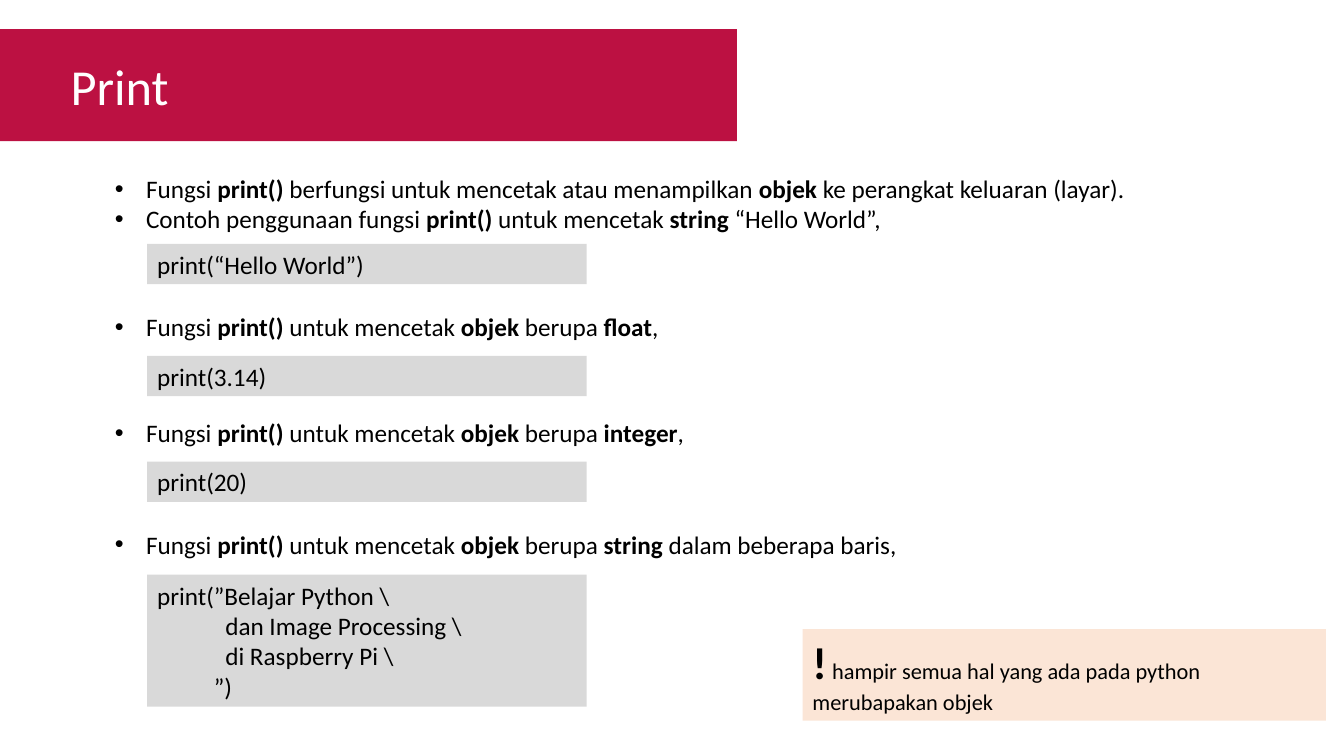
from pptx import Presentation
from pptx.dml.color import RGBColor
from pptx.enum.shapes import MSO_SHAPE
from pptx.enum.text import MSO_ANCHOR, MSO_AUTO_SIZE, PP_ALIGN
from pptx.oxml.ns import qn
from pptx.util import Inches, Pt
from lxml.etree import SubElement

COLORS = {
    "banner": "BC1142",
    "code": "D9D9D9",
    "note": "FBE5D6",
    "text": "000000",
    "title": "FFFFFF",
}
FONT = "Calibri"
BULLET_INDENT = Inches(0.31)
BULLET_LEFT, BULLET_WIDTH = 1.04, 10.79
CODE_LEFT, CODE_WIDTH = 1.46, 4.36

# Top of the bullets, their text, top and height of the code box, its lines
EXAMPLES = [
    (1.67, 1.01,
     ["Fungsi **print()** berfungsi untuk mencetak atau menampilkan **objek **"
      "ke perangkat keluaran (layar).",
      "Contoh penggunaan fungsi **print()** untuk mencetak **string **“Hello World”,"],
     2.42, 0.4, ["print(“Hello World”)"]),
    (3.04, 0.4,
     ["Fungsi **print()** untuk mencetak **objek **berupa **float**,"],
     3.53, 0.4, ["print(3.14)"]),
    (4.09, 0.4,
     ["Fungsi **print()** untuk mencetak **objek **berupa **integer**,"],
     4.58, 0.4, ["print(20)"]),
    (5.2, 0.4,
     ["Fungsi **print()** untuk mencetak **objek **berupa** string **"
      "dalam beberapa baris,"],
     5.7, 1.31,
     ["print(”Belajar Python \\",
      "            dan Image Processing \\",
      "            di Raspberry Pi \\",
      "          ”)"]),
]


def add_span(para, text, size=18, bold=False, color="text"):
    span = para.add_run()
    span.text = text
    span.font.name = FONT
    span.font.size = Pt(size)
    span.font.bold = bold
    span.font.color.rgb = RGBColor.from_string(COLORS[color])


def add_bullet(para):
    properties = para._p.get_or_add_pPr()
    properties.set("marL", str(BULLET_INDENT))
    properties.set("indent", str(-BULLET_INDENT))
    SubElement(properties, qn("a:buFont"), typeface="Arial")
    SubElement(properties, qn("a:buChar"), char="•")


def write_lines(frame, lines, bullets=False):
    """Write one paragraph a line; text between ** marks is bold."""
    frame.word_wrap = True
    for index, line in enumerate(lines):
        para = frame.add_paragraph() if index else frame.paragraphs[0]
        para.alignment = PP_ALIGN.LEFT
        if bullets:
            add_bullet(para)
        for part, text in enumerate(line.split("**")):
            if text:
                add_span(para, text, bold=part % 2 == 1)


def add_panel(page, left, top, width, height, color):
    panel = page.shapes.add_shape(
        MSO_SHAPE.RECTANGLE, Inches(left), Inches(top), Inches(width), Inches(height))
    panel.shadow.inherit = False
    panel.fill.solid()
    panel.fill.fore_color.rgb = RGBColor.from_string(COLORS[color])
    panel.line.fill.background()
    panel.text_frame.word_wrap = True
    panel.text_frame.vertical_anchor = MSO_ANCHOR.MIDDLE
    return panel


def format_title(page, text, left, top, width, height):
    title = page.shapes.title
    title.left, title.top = Inches(left), Inches(top)
    title.width, title.height = Inches(width), Inches(height)
    title.fill.solid()
    title.fill.fore_color.rgb = RGBColor.from_string(COLORS["banner"])
    frame = title.text_frame
    frame.auto_size = MSO_AUTO_SIZE.NONE
    frame.vertical_anchor = MSO_ANCHOR.MIDDLE
    frame.margin_left = Inches(0.7)
    para = frame.paragraphs[0]
    para.alignment = PP_ALIGN.LEFT
    add_span(para, text, size=36, color="title")


def add_example(page, top, height, bullets, code_top, code_height, code):
    box = page.shapes.add_textbox(
        Inches(BULLET_LEFT), Inches(top), Inches(BULLET_WIDTH), Inches(height))
    write_lines(box.text_frame, bullets, bullets=True)
    panel = add_panel(page, CODE_LEFT, code_top, CODE_WIDTH, code_height, "code")
    write_lines(panel.text_frame, code)


def add_note(page, left, top, width, height):
    panel = add_panel(page, left, top, width, height, "note")
    para = panel.text_frame.paragraphs[0]
    para.alignment = PP_ALIGN.LEFT
    add_span(para, "!", size=32, bold=True)
    add_span(para, " hampir semua hal yang ada pada python merubapakan objek", size=16)


def main():
    deck = Presentation()
    deck.slide_width, deck.slide_height = Inches(13.33), Inches(7.5)
    page = deck.slides.add_slide(deck.slide_layouts.get_by_name("Title Only"))
    format_title(page, "Print", 0, 0.29, 7.31, 1.11)
    for example in EXAMPLES:
        add_example(page, *example)
    add_note(page, 7.96, 6.24, 5.19, 0.91)
    deck.save("out.pptx")


if __name__ == "__main__":
    main()
